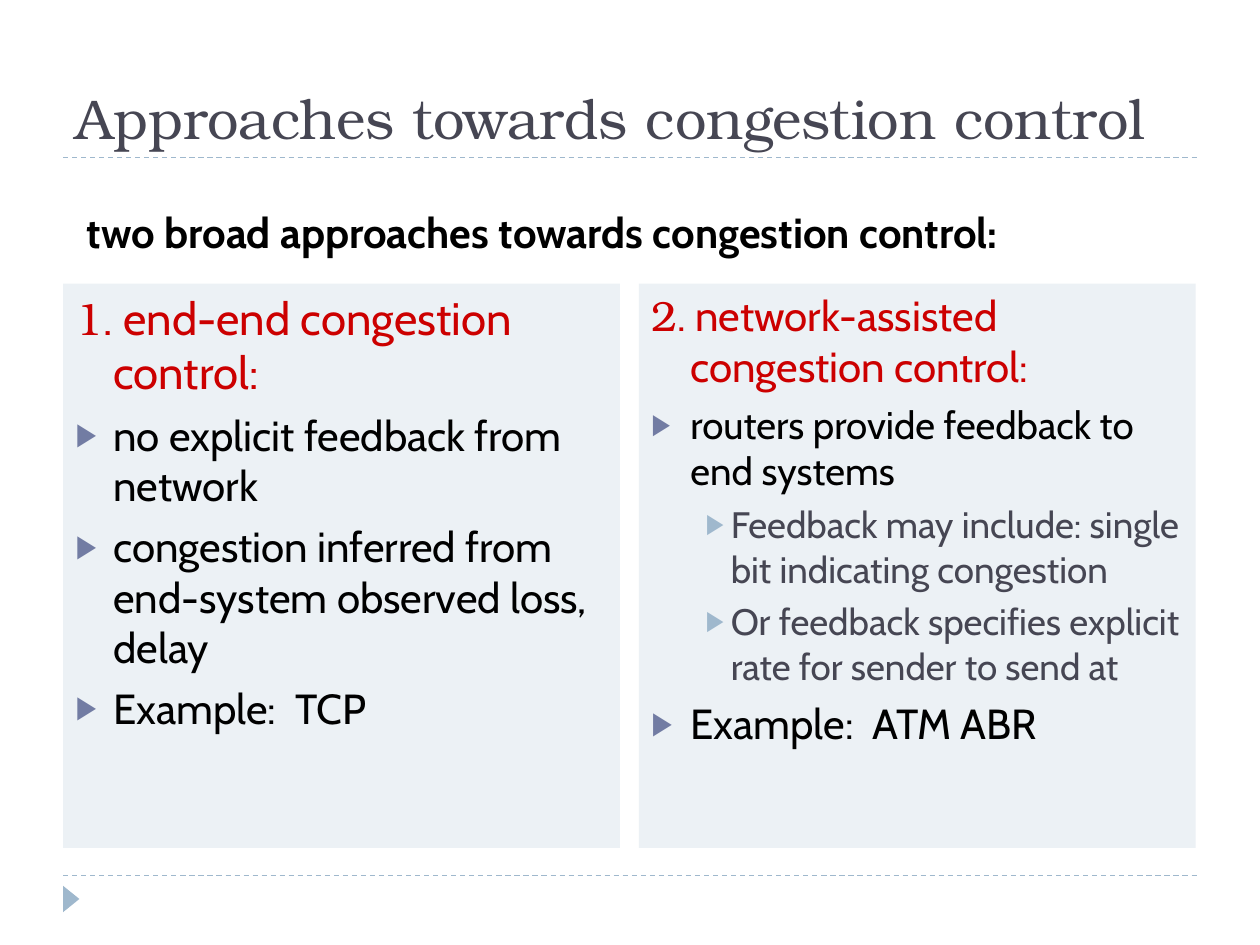
"""Build the slide on approaches towards congestion control."""
from dataclasses import dataclass

from lxml import etree
from pptx import Presentation
from pptx import util as u
from pptx.dml.color import RGBColor
from pptx.enum import dml, shapes, text
from pptx.oxml.ns import qn

WIDTH, HEIGHT = 10, 7.5
MARGIN = 0.5
PANEL_WIDTH, PANEL_HEIGHT, PANEL_GAP = 4.42, 4.48, 0.15


@dataclass(frozen=True)
class Theme:
    """Hold the colours, fonts and type sizes."""
    heading_font: str = "TeX Gyre Bonum"
    body_font: str = "Cabin"
    ink: str = "000000"
    slate: str = "464653"
    red: str = "CC0000"
    panel: str = "ECF1F5"
    bullet: str = "727CA3"
    accent: str = "9FB8CD"
    title_size: int = 32
    large: int = 26
    normal: int = 24
    small: int = 22
    detail: int = 21


THEME = Theme()


def place(shape, left, top, width, height):
    """Move and size a shape in inches."""
    shape.left, shape.top = u.Inches(left), u.Inches(top)
    shape.width, shape.height = u.Inches(width), u.Inches(height)


def prepare_frame(shape, anchor=text.MSO_ANCHOR.TOP):
    """Give a shape a wrapping text frame of fixed size."""
    frame = shape.text_frame
    frame.word_wrap = True
    frame.auto_size = text.MSO_AUTO_SIZE.NONE
    frame.vertical_anchor = anchor
    return frame


def add_run(paragraph, words, size=THEME.normal, font=THEME.body_font,
            color=THEME.ink, bold=False):
    """Append formatted words to a paragraph."""
    run = paragraph.add_run()
    run.text = words
    run.font.size, run.font.name, run.font.bold = u.Pt(size), font, bold
    run.font.color.rgb = RGBColor.from_string(color)


def format_paragraph(paragraph, indent=0, hanging=0, before=0, spacing=1.0,
                     bullet=None):
    """Set spacing, indents and an optional coloured triangle bullet."""
    paragraph.alignment = text.PP_ALIGN.LEFT
    paragraph.line_spacing = spacing
    paragraph.space_before = u.Pt(before)
    properties = paragraph._p.get_or_add_pPr()
    properties.set("marL", str(u.Inches(indent)))
    properties.set("indent", str(-u.Inches(hanging)))
    if bullet is None:
        etree.SubElement(properties, qn("a:buNone"))
        return
    color = etree.SubElement(properties, qn("a:buClr"))
    etree.SubElement(color, qn("a:srgbClr"), val=bullet)
    etree.SubElement(properties, qn("a:buSzPct"), val="76000")
    etree.SubElement(properties, qn("a:buChar"), char="▶")


def add_rule(slide, top):
    """Draw a dashed rule between the side margins."""
    rule = slide.shapes.add_connector(
        shapes.MSO_CONNECTOR.STRAIGHT, u.Inches(MARGIN), u.Inches(top),
        u.Inches(WIDTH - MARGIN), u.Inches(top))
    rule.line.color.rgb = RGBColor.from_string(THEME.accent)
    rule.line.width = u.Pt(0.75)
    rule.line.dash_style = dml.MSO_LINE.DASH
    etree.SubElement(rule._element.spPr, qn("a:effectLst"))


def add_marker(slide):
    """Draw the footer triangle pointing right."""
    marker = slide.shapes.add_shape(
        shapes.MSO_SHAPE.ISOSCELES_TRIANGLE, u.Inches(0.46), u.Inches(7.07),
        u.Inches(0.21), u.Inches(0.13))
    marker.rotation = 90
    marker.shadow.inherit = False
    marker.fill.solid()
    marker.fill.fore_color.rgb = RGBColor.from_string(THEME.accent)
    marker.line.fill.background()


def fill_title(shape, words):
    """Fill the title placeholder."""
    place(shape, MARGIN, 0.25, WIDTH - 2 * MARGIN, 1)
    paragraph = prepare_frame(shape, text.MSO_ANCHOR.BOTTOM).paragraphs[0]
    format_paragraph(paragraph)
    add_run(paragraph, words, size=THEME.title_size, font=THEME.heading_font,
            color=THEME.slate)


def add_introduction(slide, words):
    """Add the bold line above the panels."""
    box = slide.shapes.add_textbox(0, 0, 0, 0)
    place(box, 0.59, 1.65, 8.92, 0.6)
    paragraph = prepare_frame(box).paragraphs[0]
    format_paragraph(paragraph, 0.38, 0.38, before=6, spacing=0.85)
    add_run(paragraph, words, bold=True)


def fill_panel(shape, column, heading, heading_size, indent, items):
    """Fill a list placeholder with a numbered heading and (level, size, words) items."""
    place(shape, MARGIN + column * (PANEL_WIDTH + PANEL_GAP), 2.25,
          PANEL_WIDTH, PANEL_HEIGHT)
    shape.fill.solid()
    shape.fill.fore_color.rgb = RGBColor.from_string(THEME.panel)
    frame = prepare_frame(shape)
    paragraph = frame.paragraphs[0]
    format_paragraph(paragraph, indent, indent, before=6)
    add_run(paragraph, str(column + 1), size=heading_size,
            font=THEME.heading_font, color=THEME.red)
    add_run(paragraph, heading, size=heading_size, color=THEME.red)
    for level, size, words in items:
        paragraph = frame.add_paragraph()
        paragraph.level = level
        if level:
            format_paragraph(paragraph, 0.63, 0.2, before=5, bullet=THEME.accent)
        else:
            format_paragraph(paragraph, indent, indent, before=6, bullet=THEME.bullet)
        add_run(paragraph, words, size=size,
                color=THEME.slate if level else THEME.ink)


def main():
    """Build and save the presentation."""
    presentation = Presentation()
    presentation.slide_width = u.Inches(WIDTH)
    presentation.slide_height = u.Inches(HEIGHT)
    slide = presentation.slides.add_slide(presentation.slide_layouts[3])
    title, left_panel, right_panel = slide.placeholders
    for top in (6.95, 1.25):
        add_rule(slide, top)
    add_marker(slide)
    fill_title(title, "Approaches towards congestion control")
    fill_panel(left_panel, 0, ". end-end congestion control:", THEME.large, 0.3, [
        (0, THEME.normal, "no explicit feedback from network"),
        (0, THEME.normal, "congestion inferred from end-system observed loss, delay"),
        (0, THEME.normal, "Example:  TCP"),
    ])
    fill_panel(right_panel, 1, ". network-assisted congestion control:", THEME.normal, 0.31, [
        (0, THEME.small, "routers provide feedback to end systems"),
        (1, THEME.detail, "Feedback may include: single bit indicating congestion"),
        (1, THEME.detail, "Or feedback specifies explicit rate for sender to send at"),
        (0, THEME.normal, "Example:  ATM ABR"),
    ])
    add_introduction(slide, "two broad approaches towards congestion control:")
    presentation.save("out.pptx")


if __name__ == "__main__":
    main()
